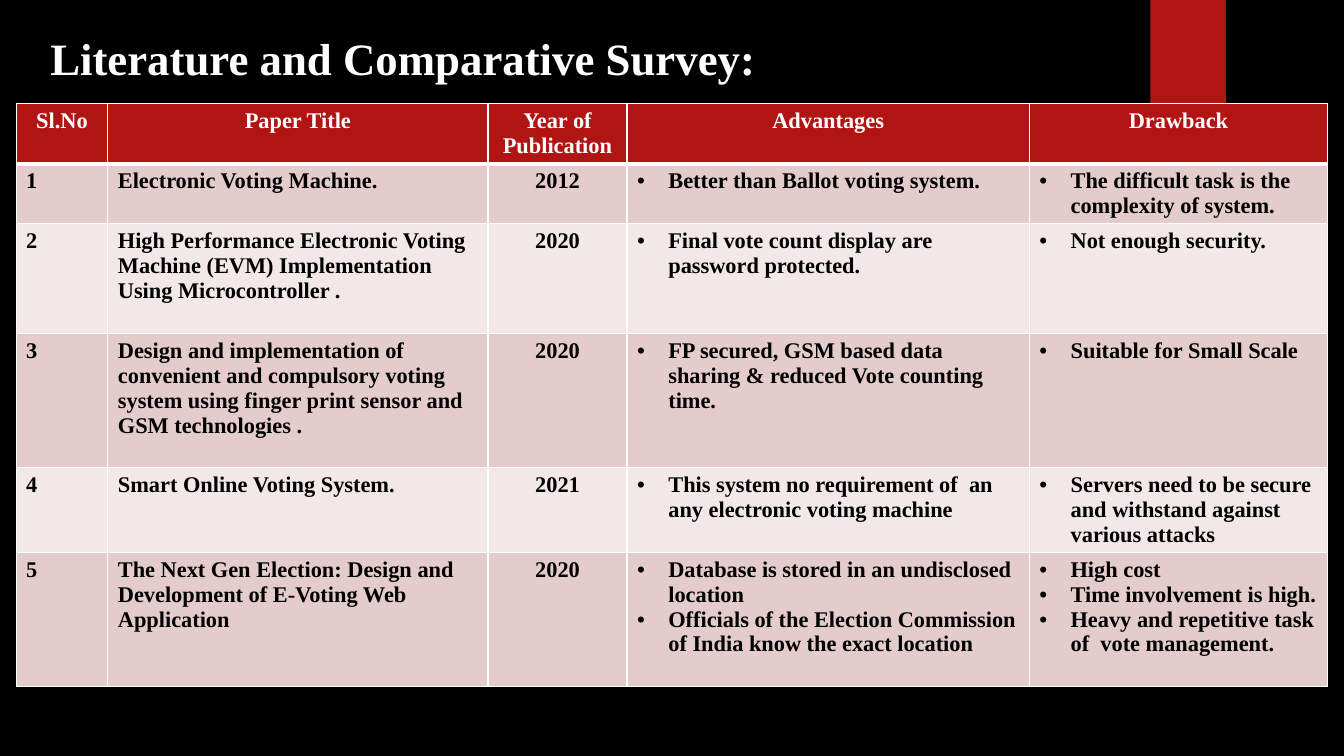
"""Build the literature survey slide: a title, a red tab and a comparison table."""
import pptx
import pptx.util
import pptx.dml.color
import pptx.enum.shapes
import pptx.enum.text
import pptx.oxml.ns
from lxml import etree

Inches, Pt = pptx.util.Inches, pptx.util.Pt
RGBColor = pptx.dml.color.RGBColor
PP_ALIGN = pptx.enum.text.PP_ALIGN
qn = pptx.oxml.ns.qn

BLACK = RGBColor(0x00, 0x00, 0x00)
WHITE = RGBColor(0xFF, 0xFF, 0xFF)
RED = RGBColor(0xB0, 0x15, 0x13)
BANDS = [RGBColor(0xF2, 0xE8, 0xE7), RGBColor(0xE4, 0xCC, 0xCC)]
FONT = "Times New Roman"

COL_WIDTHS = [0.91, 3.77, 1.38, 3.99, 2.96]
ROW_HEIGHTS = [0.59, 0.59, 1.09, 1.33, 0.84, 1.33]
CENTRED_COL, FIRST_BULLET_COL = 2, 3
INDENT = Inches(0.31)

ROWS = [
    ["Sl.No", "Paper Title", "Year of Publication", "Advantages", "Drawback"],
    ["1", "Electronic Voting Machine.", "2012",
     "Better than Ballot voting system.",
     "The difficult task is the complexity of system."],
    ["2", "High Performance Electronic Voting Machine (EVM) Implementation Using Microcontroller .", "2020",
     "Final vote count display are password protected.",
     "Not enough security."],
    ["3", "Design and implementation of convenient and compulsory voting system using finger print sensor "
     "and GSM technologies .", "2020",
     "FP secured, GSM based data sharing & reduced Vote counting time.",
     "Suitable for Small Scale"],
    ["4", "Smart Online Voting System.", "2021",
     "This system no requirement of  an any electronic voting machine",
     "Servers need to be secure and withstand against various attacks"],
    ["5", "The Next Gen Election: Design and Development of E-Voting Web Application", "2020",
     "Database is stored in an undisclosed location\n"
     "Officials of the Election Commission of India know the exact location",
     "High cost\nTime involvement is high.\nHeavy and repetitive task of  vote management."],
]


def style(p, size, color):
    p.font.name, p.font.size, p.font.bold = FONT, Pt(size), True
    p.font.color.rgb = color


def add_border(cell, side, width):
    ln = etree.SubElement(cell._tc.get_or_add_tcPr(), qn(f"a:ln{side}"), w=str(Pt(width)))
    fill = etree.SubElement(ln, qn("a:solidFill"))
    etree.SubElement(fill, qn("a:srgbClr"), val=str(WHITE))


prs = pptx.Presentation()
prs.slide_width, prs.slide_height = Inches(13.33), Inches(7.5)
s = prs.slides.add_slide(prs.slide_layouts[6])
s.background.fill.solid()
s.background.fill.fore_color.rgb = BLACK

tab = s.shapes.add_shape(pptx.enum.shapes.MSO_SHAPE.RECTANGLE,
                         Inches(11.41), 0, Inches(0.75), Inches(1.25))
tab.shadow.inherit = False
tab.fill.solid()
tab.fill.fore_color.rgb = RED
tab.line.fill.background()

frame = s.shapes.add_table(len(ROWS), len(COL_WIDTHS), Inches(0.16), Inches(1.03),
                           Inches(sum(COL_WIDTHS)), Inches(sum(ROW_HEIGHTS)))
table = frame.table
for column, width in zip(table.columns, COL_WIDTHS):
    column.width = Inches(width)
for row, height in zip(table.rows, ROW_HEIGHTS):
    row.height = Inches(height)

for i, texts in enumerate(ROWS):
    header = i == 0
    for j, text in enumerate(texts):
        cell = table.cell(i, j)
        for side in "LRTB":
            thick = (i, side) in [(0, "B"), (1, "T")]
            add_border(cell, side, 3 if thick else 1)
        cell.fill.solid()
        cell.fill.fore_color.rgb = RED if header else BANDS[i % 2]
        cell.text_frame.text = text
        for p in cell.text_frame.paragraphs:
            style(p, 16, WHITE if header else BLACK)
            if header or j == CENTRED_COL:
                p.alignment = PP_ALIGN.CENTER
            elif j >= FIRST_BULLET_COL:
                pPr = p._p.get_or_add_pPr()
                pPr.set("marL", str(INDENT))
                pPr.set("indent", str(-INDENT))
                bullet_font = etree.Element(qn("a:buFont"), typeface="Arial")
                bullet = etree.Element(qn("a:buChar"), char="•")
                pPr.insert(0, bullet_font)
                pPr.insert(1, bullet)

title = s.shapes.add_textbox(Inches(0.4), Inches(0.26), Inches(12.52), Inches(0.64))
tf = title.text_frame
tf.word_wrap = True
tf.text = "Literature and Comparative Survey:"
style(tf.paragraphs[0], 32, WHITE)

prs.save("out.pptx")
